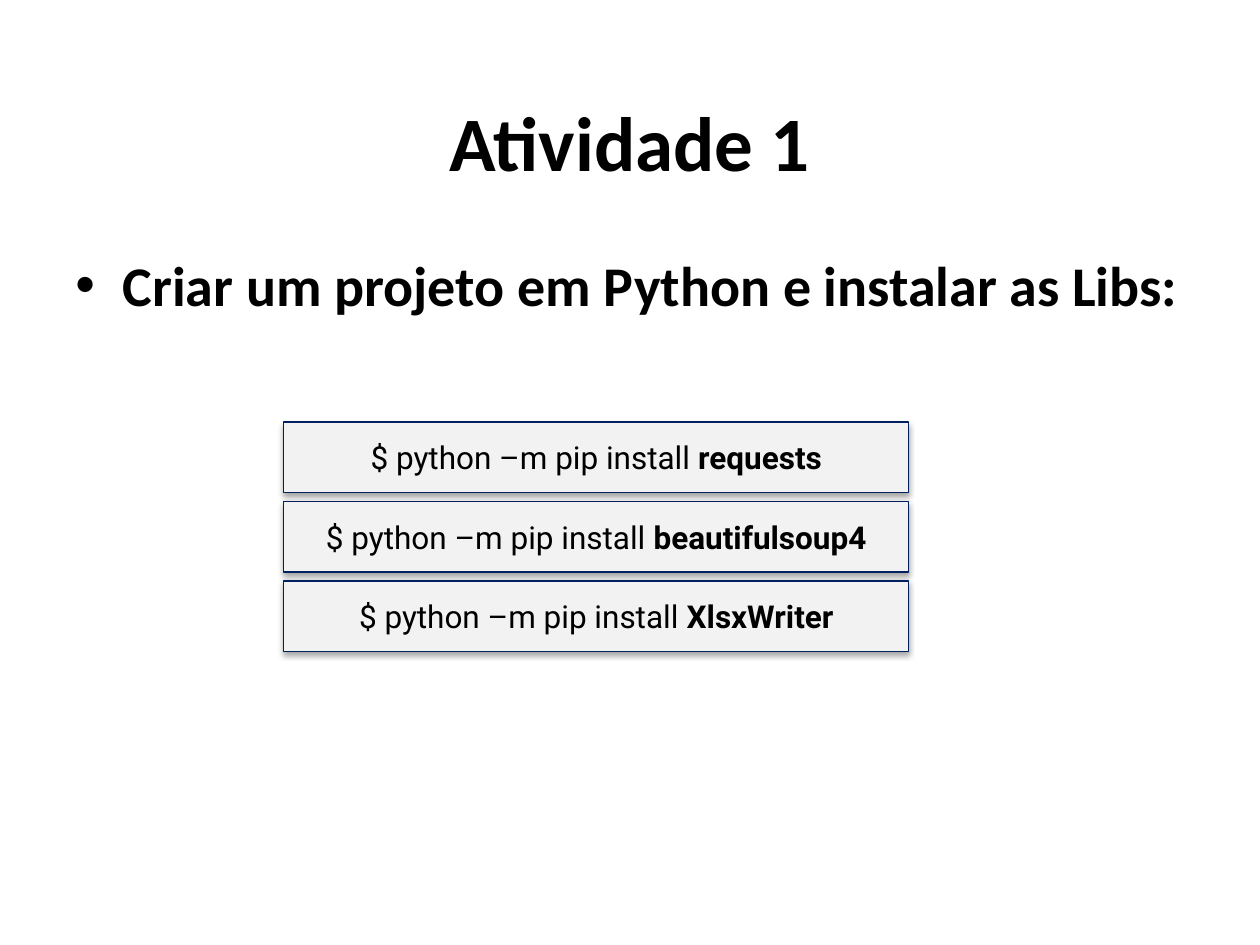
from dataclasses import dataclass

from lxml.etree import SubElement
from pptx import Presentation
from pptx.dml.color import RGBColor
from pptx.enum.shapes import MSO_SHAPE
from pptx.enum.text import MSO_ANCHOR, PP_ALIGN
from pptx.oxml.ns import qn
from pptx.util import Pt


@dataclass(frozen=True)
class Theme:
    text: RGBColor = RGBColor(0x00, 0x00, 0x00)
    command_fill: RGBColor = RGBColor(0xF2, 0xF2, 0xF2)
    command_line: RGBColor = RGBColor(0x00, 0x20, 0x60)
    heading_font: str = "Calibri"
    command_font: str = "Roboto"
    title_size: float = 44
    body_size: float = 32
    command_size: float = 18


THEME = Theme()
LIBRARIES = ("requests", "beautifulsoup4", "XlsxWriter")
COMMAND_LEFT, COMMAND_TOP = 162.2, 241.2
COMMAND_WIDTH, COMMAND_HEIGHT = 357.1, 40.3
COMMAND_STEP = 45.4


def set_format(target, values):
    for name, value in values.items():
        setattr(target, name, value)


def add_run(paragraph, text, font_name, size, bold=False):
    run = paragraph.add_run()
    run.text = text
    set_format(run.font, {"name": font_name, "size": Pt(size), "bold": bold})
    run.font.color.rgb = THEME.text


def add_heading(slide, text, top, height, size, anchor, alignment):
    """Add a bold text box as wide as the slide's margins; return its paragraph."""
    box = slide.shapes.add_textbox(Pt(36), Pt(top), Pt(648), Pt(height))
    set_format(box.text_frame, {"word_wrap": True, "vertical_anchor": anchor})
    paragraph = box.text_frame.paragraphs[0]
    paragraph.alignment = alignment
    add_run(paragraph, text, THEME.heading_font, size, bold=True)
    return paragraph


def add_bullet(paragraph, indent):
    properties = paragraph._p.get_or_add_pPr()
    properties.set("marL", str(Pt(indent)))
    properties.set("indent", str(-Pt(indent)))
    SubElement(properties, qn("a:buFont"), typeface="Arial")
    SubElement(properties, qn("a:buChar"), char="•")


def add_command(slide, library, top):
    """Add an install command box, which keeps the soft shadow of the theme."""
    shape = slide.shapes.add_shape(
        MSO_SHAPE.RECTANGLE,
        Pt(COMMAND_LEFT), Pt(top), Pt(COMMAND_WIDTH), Pt(COMMAND_HEIGHT),
    )
    shape.fill.solid()
    shape.fill.fore_color.rgb = THEME.command_fill
    shape.line.color.rgb = THEME.command_line
    shape.line.width = Pt(0.75)
    set_format(shape.text_frame, {"word_wrap": True, "vertical_anchor": MSO_ANCHOR.MIDDLE})
    paragraph = shape.text_frame.paragraphs[0]
    paragraph.alignment = PP_ALIGN.CENTER
    add_run(paragraph, "$ python –m pip install ", THEME.command_font, THEME.command_size)
    add_run(paragraph, library, THEME.command_font, THEME.command_size, bold=True)


def main():
    presentation = Presentation()
    set_format(presentation, {"slide_width": Pt(720), "slide_height": Pt(540)})
    slide = presentation.slides.add_slide(presentation.slide_layouts[6])

    add_heading(slide, "Atividade 1", 35.3, 90, THEME.title_size,
                MSO_ANCHOR.MIDDLE, PP_ALIGN.CENTER)
    task = add_heading(slide, "Criar um projeto em Python e instalar as Libs:",
                       139.7, 356.4, THEME.body_size, MSO_ANCHOR.TOP, PP_ALIGN.JUSTIFY)
    task.space_before = Pt(6.4)
    add_bullet(task, 27)

    for index, library in enumerate(LIBRARIES):
        add_command(slide, library, COMMAND_TOP + index * COMMAND_STEP)

    presentation.save("out.pptx")


if __name__ == "__main__":
    main()
